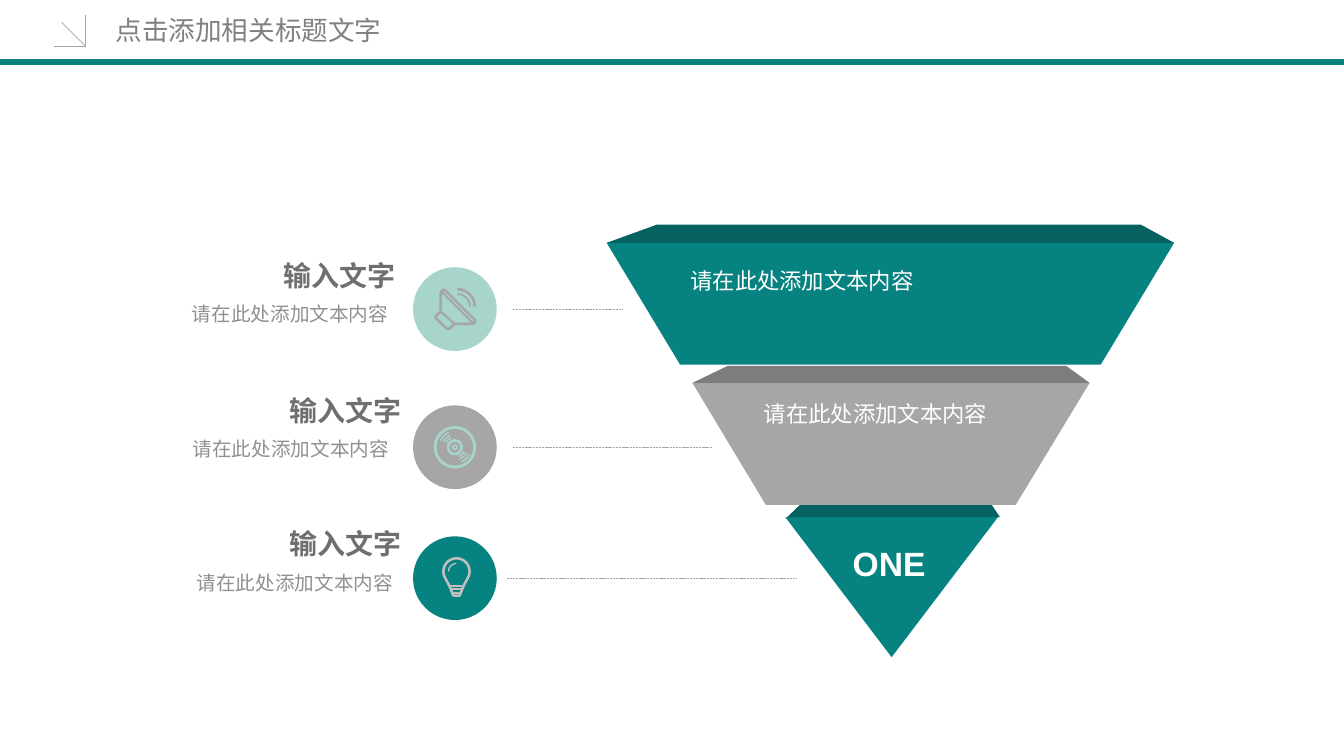
from math import cos, radians, sin

from lxml.etree import SubElement
from pptx import Presentation
from pptx.dml.color import RGBColor
from pptx.enum.dml import MSO_LINE
from pptx.enum.shapes import MSO_CONNECTOR, MSO_SHAPE
from pptx.enum.text import MSO_ANCHOR, PP_ALIGN
from pptx.oxml.ns import qn
from pptx.util import Cm, Pt

COLORS = {
    "teal": "068380",
    "deep_teal": "056260",
    "mint": "A7D5CC",
    "gray": "A6A6A6",
    "dark_gray": "7D7D7D",
    "pale_gray": "BFBFBF",
    "title": "808080",
    "heading": "6F6F6F",
    "caption": "909090",
    "white": "FFFFFF",
}
CJK_FONT = "Noto Sans CJK SC"
CIRCLE_SIZE = 2.11
PROMPT = "请在此处添加文本内容"


def rgb(color):
    return RGBColor.from_string(COLORS[color])


def write(frame, text, size, color, font="Arial", bold=False, align=PP_ALIGN.LEFT,
          spacing=1.0, margins=(0, 0), anchor=MSO_ANCHOR.TOP, wrap=True):
    frame.word_wrap = wrap
    frame.vertical_anchor = anchor
    frame.margin_left = frame.margin_right = Cm(margins[0])
    frame.margin_top = frame.margin_bottom = Cm(margins[1])
    paragraph = frame.paragraphs[0]
    paragraph.alignment = align
    paragraph.line_spacing = spacing
    run = paragraph.add_run()
    run.text = text
    run.font.size = Pt(size)
    run.font.bold = bold
    run.font.name = font
    run.font.color.rgb = rgb(color)
    SubElement(run.font._element, qn("a:ea"), typeface=CJK_FONT)


def add_text(slide, left, top, width, height, text, **style):
    box = slide.shapes.add_textbox(Cm(left), Cm(top), Cm(width), Cm(height))
    write(box.text_frame, text, **style)


def add_line(slide, start, end, color="gray", width=0.5, dash=None):
    line = slide.shapes.add_connector(
        MSO_CONNECTOR.STRAIGHT, *(Cm(value) for value in (*start, *end)))
    line.line.color.rgb = rgb(color)
    line.line.width = Pt(width)
    line.line.dash_style = dash
    SubElement(line._element.spPr, qn("a:effectLst"))


def paint(shape, color):
    shape.shadow.inherit = False
    shape.fill.solid()
    shape.fill.fore_color.rgb = rgb(color)
    shape.line.fill.background()


def outline(slide, origin, points, closed):
    corners = [(Cm(origin[0] + x), Cm(origin[1] + y)) for x, y in points]
    builder = slide.shapes.build_freeform(*corners[0], scale=1.0)
    builder.add_line_segments(corners[1:], close=closed)
    return builder.convert_to_shape()


def add_face(slide, origin, points, color):
    paint(outline(slide, origin, points, True), color)


def add_stroke(slide, origin, points, color, width, closed=False):
    stroke = outline(slide, origin, points, closed)
    stroke.shadow.inherit = False
    stroke.fill.background()
    stroke.line.color.rgb = rgb(color)
    stroke.line.width = Pt(width)


def arc(x, y, radius, start, end):
    steps = 24
    angles = [radians(start + (end - start) * step / steps) for step in range(steps + 1)]
    return [(x + radius * cos(angle), y + radius * sin(angle)) for angle in angles]


def draw_horn(slide, center, color):
    body = [(-0.36, -0.42), (-0.3, -0.49), (-0.24, -0.47), (0.5, 0.27), (0.5, 0.34),
            (0.44, 0.37), (-0.01, 0.37), (-0.14, 0.5), (-0.2, 0.5), (-0.48, 0.23),
            (-0.48, 0.17), (-0.36, 0.06)]
    add_stroke(slide, center, body, color, 1.8, closed=True)
    add_stroke(slide, center, [(-0.36, 0.06), (-0.01, 0.37)], color, 1.5)
    add_stroke(slide, center, [(-0.33, -0.43), (0.45, 0.35)], color, 1.5)
    for radius, width in ((0.32, 1.2), (0.44, 1.8)):
        add_stroke(slide, center, arc(0.06, -0.06, radius, 270, 360), color, width)


def draw_disc(slide, center, color):
    for radius, width in ((0.5, 2), (0.17, 1.8), (0.05, 1.2)):
        add_stroke(slide, center, arc(0, 0, radius, 0, 360), color, width, closed=True)
    for radius in (0.25, 0.32, 0.4):
        for start in (25, 205):
            add_stroke(slide, center, arc(0, 0, radius, start, start + 43), color, 1)


def draw_bulb(slide, center, color):
    glass = arc(0.04, -0.17, 0.33, 150, 390)
    base = [(0.22, 0.19), (0.12, 0.44), (-0.04, 0.44), (-0.14, 0.19)]
    add_stroke(slide, center, glass + base, color, 1.8, closed=True)
    for half_width, y in ((0.18, 0.19), (0.14, 0.28), (0.1, 0.37)):
        add_stroke(slide, center, [(0.04 - half_width, y), (0.04 + half_width, y)], color, 1.3)
    add_stroke(slide, center, arc(0.04, -0.17, 0.2, 180, 270), color, 1)


def add_header(slide, left, top, width):
    title = slide.shapes.title
    title.left, title.top = Cm(left + 2.67), Cm(top + 0.2)
    title.width, title.height = Cm(7.77), Cm(1.12)
    write(title.text_frame, "点击添加相关标题文字", size=19, color="title", font=CJK_FONT,
          margins=(0.25, 0.13), anchor=MSO_ANCHOR.MIDDLE)
    add_line(slide, (left, top + 1.57), (left + width, top + 1.57), "teal", 4.5)
    corner = (left + 2.16, top + 1.17)
    for dx, dy in ((-0.81, 0), (0, -0.79), (-0.61, -0.61)):
        add_line(slide, corner, (corner[0] + dx, corner[1] + dy))


def add_step(slide, left, middle, heading_at, caption_left, link, fill, draw_icon, icon_color):
    circle = slide.shapes.add_shape(
        MSO_SHAPE.OVAL, Cm(left), Cm(middle - CIRCLE_SIZE / 2), Cm(CIRCLE_SIZE), Cm(CIRCLE_SIZE))
    paint(circle, fill)
    draw_icon(slide, (left + CIRCLE_SIZE / 2, middle), icon_color)
    link_start, link_end = link
    add_line(slide, (left + link_start, middle), (left + link_end, middle),
             dash=MSO_LINE.SQUARE_DOT)
    heading_left, heading_top = left + heading_at[0], middle + heading_at[1]
    add_text(slide, heading_left, heading_top, 2.84, 1.02, "输入文字", size=20,
             color="heading", bold=True, align=PP_ALIGN.RIGHT, spacing=1.2, wrap=False)
    add_text(slide, left + caption_left, heading_top + 0.84, 8.69, 1.14, PROMPT, size=14,
             color="caption", font=CJK_FONT, align=PP_ALIGN.RIGHT, spacing=1.5,
             margins=(0.25, 0.13))


def add_funnel(slide, left, top):
    origin = (left, top)
    tip = slide.shapes.add_shape(
        MSO_SHAPE.ISOSCELES_TRIANGLE, Cm(left + 4.5), Cm(top + 7.37), Cm(5.36), Cm(3.53))
    tip.rotation = 180
    paint(tip, "teal")
    faces = (
        ([(5.03, 6.91), (9.6, 6.91), (9.91, 7.37), (4.55, 7.37)], "deep_teal"),
        ([(2.16, 3.99), (12.17, 3.99), (10.31, 7.06), (4.01, 7.06)], "gray"),
        ([(0, 0.46), (14.3, 0.46), (12.45, 3.53), (1.85, 3.53)], "teal"),
        ([(3.05, 3.56), (11.58, 3.56), (12.17, 3.99), (2.16, 3.99)], "dark_gray"),
        ([(1.27, 0), (13.46, 0), (14.3, 0.46), (0, 0.46)], "deep_teal"),
    )
    for points, color in faces:
        add_face(slide, origin, points, color)
    labels = (
        (2.11, 0.94, 10.29, 0.76, PROMPT, 16, False),
        (3.96, 4.29, 6.6, 0.81, PROMPT, 16, False),
        (6.2, 7.82, 2.51, 1.22, "ONE", 24, True),
    )
    for x, y, width, height, text, size, bold in labels:
        add_text(slide, left + x, top + y, width, height, text, size=size, color="white",
                 bold=bold, align=PP_ALIGN.JUSTIFY, spacing=1.2)


def main():
    deck = Presentation()
    deck.slide_width, deck.slide_height = Cm(33.87), Cm(19.05)
    slide = deck.slides.add_slide(deck.slide_layouts[5])
    add_funnel(slide, 15.29, 5.66)
    steps = (
        (7.79, (-3.27, -1.44), -9.06, (2.52, 5.29), "mint", draw_horn, "gray"),
        (11.27, (-3.12, -1.52), -9.04, (2.52, 7.55), "gray", draw_disc, "mint"),
        (14.57, (-3.12, -1.46), -8.94, (2.37, 9.68), "teal", draw_bulb, "pale_gray"),
    )
    for step in steps:
        add_step(slide, 10.41, *step)
    add_header(slide, 0, 0, 33.87)
    deck.save("out.pptx")


if __name__ == "__main__":
    main()
